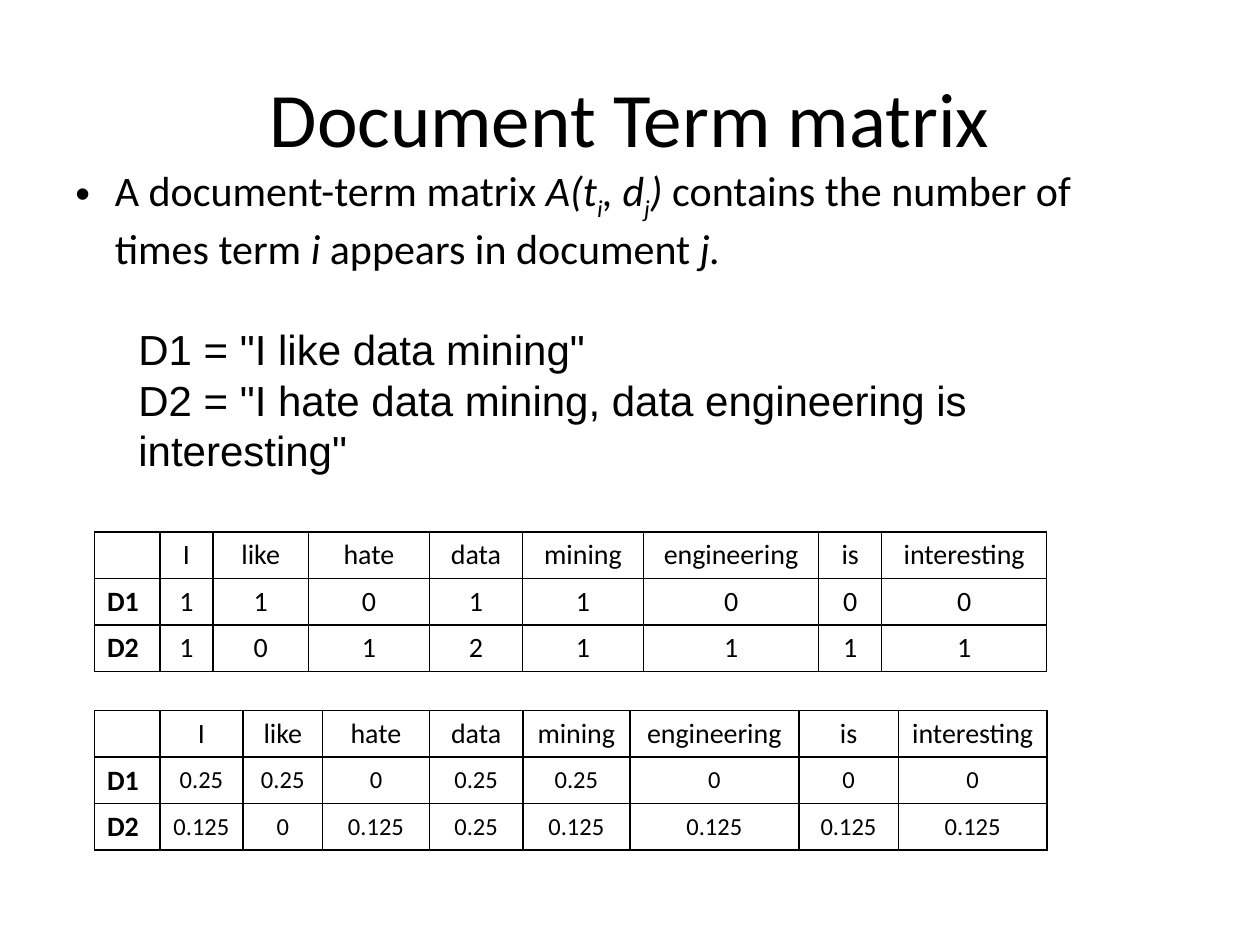
from lxml.etree import SubElement
from pptx import Presentation
from pptx.dml.color import RGBColor
from pptx.enum.text import MSO_ANCHOR as ANCHOR, PP_ALIGN as ALIGN
from pptx.oxml.ns import qn
from pptx.util import Pt

BLACK = "000000"
TITLE = "Document Term matrix"
DEFINITION = [
    ("A document-term matrix ", ""), ("A(t", "i"), ("i", "is"), (", d", "i"),
    ("j", "is"), (")", "i"), (" contains the number of times term ", ""),
    ("i", "i"), (" appears in document ", ""), ("j.", "i"),
]
DOCUMENTS = [
    'D1 = "I like data mining"',
    'D2 = "I hate data mining, data engineering is interesting"',
]
TERMS = ["", "I", "like", "hate", "data", "mining", "engineering", "is", "interesting"]
MATRICES = [
    dict(top=303.9, value_size=16,
         widths=[37.4, 30.2, 54.7, 69.1, 53.3, 69.1, 100.1, 36, 94.3],
         rows=[TERMS, ["D1", 1, 1, 0, 1, 1, 0, 0, 0], ["D2", 1, 0, 1, 2, 1, 1, 1, 1]]),
    dict(top=406, value_size=14,
         widths=[37.4, 47.5, 45.4, 61.2, 53.3, 61.2, 96.5, 56.9, 85],
         rows=[TERMS, ["D1", 0.25, 0.25, 0, 0.25, 0.25, 0, 0, 0],
               ["D2", 0.125, 0, 0.125, 0.25, 0.125, 0.125, 0.125, 0.125]]),
]
TABLE_LEFT, ROW_HEIGHT = 54, 26.6


def rgb(value):
    return RGBColor.from_string(value)


def add_run(p, text, size, name="Calibri", **formats):
    r = p.add_run()
    r.text = text
    for key, value in dict(size=Pt(size), name=name, **formats).items():
        setattr(r.font, key, value)
    r.font.color.rgb = rgb(BLACK)
    return r


def add_text_box(s, left, top, width, height, anchor):
    tf = s.shapes.add_textbox(Pt(left), Pt(top), Pt(width), Pt(height)).text_frame
    tf.word_wrap = True
    tf.vertical_anchor = anchor
    return tf


def set_indent(p, left, first):
    pPr = p._p.get_or_add_pPr()
    pPr.set("marL", str(Pt(left)))
    pPr.set("indent", str(Pt(first)))
    return pPr


def set_borders(cell):
    tcPr = cell._tc.get_or_add_tcPr()
    for side in ("lnL", "lnR", "lnT", "lnB"):
        line = SubElement(tcPr, qn(f"a:{side}"), w=str(Pt(1)))
        fill = SubElement(line, qn("a:solidFill"))
        SubElement(fill, qn("a:srgbClr"), val=BLACK)


def add_matrix(s, top, value_size, widths, rows):
    table = s.shapes.add_table(len(rows), len(widths), Pt(TABLE_LEFT), Pt(top),
                               Pt(sum(widths)), Pt(ROW_HEIGHT * len(rows))).table
    table.first_row = table.horz_banding = False
    for column, width in zip(table.columns, widths):
        column.width = Pt(width)
    for i, row in enumerate(rows):
        table.rows[i].height = Pt(ROW_HEIGHT)
        for j, value in enumerate(row):
            cell = table.cell(i, j)
            set_borders(cell)
            cell.fill.background()
            cell.vertical_anchor = ANCHOR.MIDDLE
            p = cell.text_frame.paragraphs[0]
            if value == "":
                SubElement(p._p, qn("a:endParaRPr"), sz="1600")
                continue
            p.alignment = ALIGN.CENTER if j else ALIGN.LEFT
            add_run(p, str(value), value_size if i and j else 16, bold=j == 0)


def main():
    prs = Presentation()
    prs.slide_width, prs.slide_height = Pt(720), Pt(540)
    s = prs.slides.add_slide(prs.slide_layouts[6])

    p = add_text_box(s, 36, 21.6, 648, 90, ANCHOR.MIDDLE).paragraphs[0]
    p.alignment = ALIGN.CENTER
    add_run(p, TITLE, 44)

    tf = add_text_box(s, 36, 90.7, 618.5, 181.4, ANCHOR.TOP)
    p = tf.paragraphs[0]
    pPr = set_indent(p, 22.5, -22.5)
    SubElement(pPr, qn("a:buFont"), typeface="Arial")
    SubElement(pPr, qn("a:buChar"), char="•")
    for text, style in DEFINITION:
        r = add_run(p, text, 24, italic="i" in style)
        if "s" in style:
            r.font._element.set("baseline", "-25000")
    for i, text in enumerate(DOCUMENTS):
        p = tf.add_paragraph()
        p.level = 1
        p.line_spacing = Pt(28.8)
        p.space_before = Pt(0 if i else 29.3)
        set_indent(p, 36, 0)
        add_run(p, text, 24, "Arial")

    for matrix in MATRICES:
        add_matrix(s, **matrix)
    prs.save("out.pptx")


if __name__ == "__main__":
    main()
